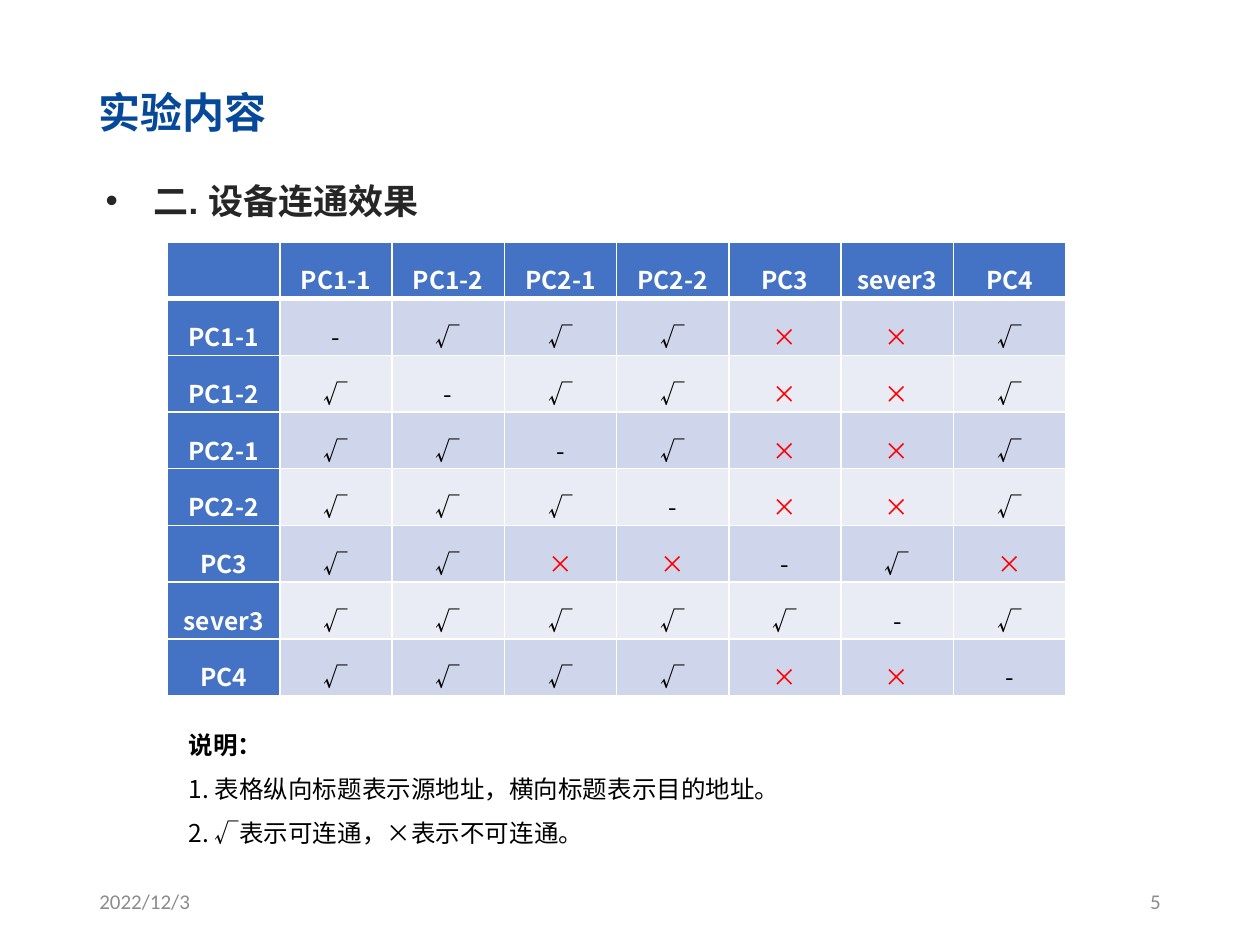
"""Builds the slide with the device connectivity table of the lab."""
from dataclasses import dataclass

from lxml.etree import SubElement
from pptx import Presentation
from pptx.dml.color import RGBColor
from pptx.enum.text import MSO_ANCHOR, PP_ALIGN
from pptx.oxml.ns import qn
from pptx.util import Inches, Pt


@dataclass(frozen=True)
class Theme:
    heading_font: str = "Arial"
    body_font: str = "Noto Sans CJK SC"
    footer_font: str = "Calibri"
    title_size: int = 24
    topic_size: int = 20
    body_size: int = 14
    footer_size: int = 12
    title: str = "064899"
    topic: str = "262626"
    text: str = "000000"
    footer: str = "8C8C8C"
    header: str = "4472C4"
    bands: tuple = ("CFD5EA", "E9EBF5")
    light: str = "FFFFFF"
    blocked: str = "FF0000"


class SlideBuilder:
    def __init__(self, slide, theme):
        self.slide = slide
        self.theme = theme

    def style(self, paragraph, font, size, color, bold=False, align=PP_ALIGN.LEFT, spacing=1.0):
        paragraph.alignment = align
        paragraph.line_spacing = spacing
        paragraph.font.name = font
        paragraph.font.size = Pt(size)
        paragraph.font.bold = bold
        paragraph.font.color.rgb = RGBColor.from_string(color)
        defaults = paragraph._p.pPr.find(qn("a:defRPr"))
        SubElement(defaults, qn("a:ea"), typeface=font)

    def text(self, box, lines, anchor=MSO_ANCHOR.TOP):
        frame = self.slide.shapes.add_textbox(*map(Inches, box)).text_frame
        frame.word_wrap = True
        frame.vertical_anchor = anchor
        frame.text = "\n".join(lines)
        return frame.paragraphs

    def title(self, box, words):
        theme = self.theme
        [heading] = self.text(box, [words], MSO_ANCHOR.MIDDLE)
        self.style(heading, theme.heading_font, theme.title_size, theme.title, True)

    def topic(self, box, words):
        theme = self.theme
        [topic] = self.text(box, [words])
        properties = topic._p.get_or_add_pPr()
        properties.set("marL", str(Inches(0.38)))
        properties.set("indent", str(Inches(-0.38)))
        topic.line_spacing = 1.5
        SubElement(properties, qn("a:buFont"), typeface=theme.heading_font)
        SubElement(properties, qn("a:buChar"), char="•")
        self.style(topic, theme.heading_font, theme.topic_size, theme.topic, True, spacing=1.5)

    def footer(self, box, words, align):
        theme = self.theme
        [footer] = self.text(box, [words], MSO_ANCHOR.MIDDLE)
        self.style(footer, theme.footer_font, theme.footer_size, theme.footer, align=align)

    def notes(self, box, lines):
        theme = self.theme
        for index, line in enumerate(self.text(box, lines)):
            self.style(line, theme.body_font, theme.body_size, theme.text,
                       index == 0, PP_ALIGN.JUSTIFY, 1.5)

    def borders(self, cell, bottom):
        properties = cell._tc.get_or_add_tcPr()
        for side, width in (("L", 1), ("R", 1), ("T", 1), ("B", bottom)):
            line = SubElement(properties, qn(f"a:ln{side}"), w=str(Pt(width)))
            fill = SubElement(line, qn("a:solidFill"))
            SubElement(fill, qn("a:srgbClr"), val=self.theme.light)

    def cell(self, cell, words, row, column):
        theme = self.theme
        heading = row == 0 or column == 0
        color = theme.light if heading else theme.blocked if words == "×" else theme.text
        self.borders(cell, 3 if row == 0 else 1)
        cell.fill.solid()
        fill = theme.header if heading else theme.bands[(row - 1) % 2]
        cell.fill.fore_color.rgb = RGBColor.from_string(fill)
        cell.margin_left = cell.margin_right = Inches(0.07)
        cell.margin_top = cell.margin_bottom = 0
        cell.vertical_anchor = MSO_ANCHOR.MIDDLE
        cell.text = words
        self.style(cell.text_frame.paragraphs[0], theme.body_font, theme.body_size, color,
                   heading, PP_ALIGN.CENTER, 1.5)

    def matrix(self, box, devices, links):
        rows = [["", *devices]] + [[name, *marks] for name, marks in zip(devices, links)]
        count = len(rows)
        table = self.slide.shapes.add_table(count, count, *map(Inches, box)).table
        for row, values in enumerate(rows):
            for column, words in enumerate(values):
                self.cell(table.cell(row, column), words, row, column)


DEVICES = ["PC1-1", "PC1-2", "PC2-1", "PC2-2", "PC3", "sever3", "PC4"]
LINKS = ["-√√√××√", "√-√√××√", "√√-√××√", "√√√-××√", "√√××-√×", "√√√√√-√", "√√√√××-"]
NOTES = [
    "说明：",
    "1. 表格纵向标题表示源地址，横向标题表示目的地址。",
    "2. √表示可连通，×表示不可连通。",
]


def main():
    deck = Presentation()
    deck.slide_width, deck.slide_height = Inches(10), Inches(7.5)
    builder = SlideBuilder(deck.slides.add_slide(deck.slide_layouts[6]), Theme())
    builder.footer((0.69, 6.95, 2.25, 0.4), "2022/12/3", PP_ALIGN.LEFT)
    builder.footer((7.06, 6.95, 2.25, 0.4), "5", PP_ALIGN.RIGHT)
    builder.title((0.68, 0.64, 8.52, 0.5), "实验内容")
    builder.topic((0.74, 1.21, 8.52, 0.55), "二. 设备连通效果")
    builder.matrix((1.33, 1.92, 7.13, 3.6), DEVICES, LINKS)
    builder.notes((1.4, 5.63, 6.88, 1.12), NOTES)
    deck.save("out.pptx")


if __name__ == "__main__":
    main()
